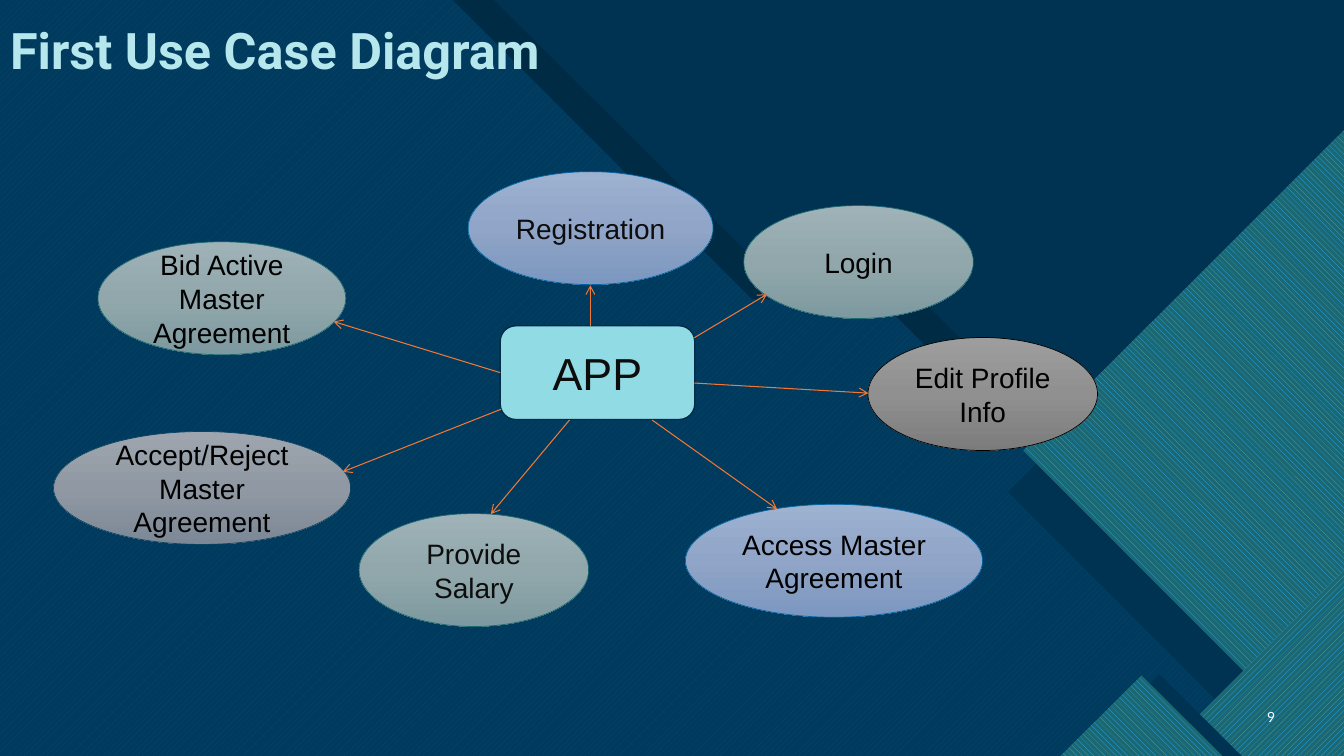
from copy import deepcopy

from pptx import Presentation
from pptx.dml.color import RGBColor
from pptx.enum.dml import MSO_PATTERN_TYPE as Pattern
from pptx.enum.shapes import MSO_CONNECTOR, MSO_SHAPE as Preset
from pptx.enum.text import MSO_ANCHOR as Anchor, PP_ALIGN as Align
from pptx.oxml.ns import qn
from pptx.util import Pt

WIDTH, HEIGHT = 960, 540
NAVY = "003352"
ARROW = "F47735"
TEAL_STRIPES = ("2FAFFF", "1B6872")
USE_CASE_HEIGHT = 80.7

# Outline colour and the gradient from top to bottom
GREEN = ("1A6871", ("9EB2B7", "91A7AB", "7D9AA0"))
BLUE = ("0065A4", ("9DB1D1", "90A5C7", "7C97C0"))
SLATE = ("0C4360", ("9EA5AF", "9099A3", "7C8896"))
GREY = ("000000", ("9D9D9D", "909090", "7C7C7C"))

# Label, left, top, width, palette, text colour, arrow start, arrow end
USE_CASES = [
    ("Bid Active Master Agreement", 70, 172.7, 177, GREEN, "000000", (357, 266), (238.3, 229.7)),
    ("Login", 531.3, 146.8, 164, GREEN, "000000", (496, 241.2), (547.9, 210.2)),
    ("Registration", 334.4, 122.6, 175, BLUE, "0D0D0D", (421.7, 232.6), (421.7, 203.8)),
    ("Access Master Agreement", 489.6, 360.2, 212.3, BLUE, "000000", (465.8, 300), (555.1, 363.6)),
    ("Provide Salary", 256.5, 366.8, 164, GREEN, "0D0D0D", (406.8, 300), (350.6, 367.2)),
    ("Accept/Reject Master Agreement", 38.2, 308.2, 212.3, SLATE, "000000", (358, 292.3), (244.8, 337)),
    ("Edit Profile Info", 620, 241.1, 164, GREY, "000000", (496, 273.6), (620.3, 280.8)),
]


def rgb(value):
    return RGBColor.from_string(value)


class UseCaseSlide:
    """Holds the current slide and the style of its elements."""

    def __init__(self, deck):
        self.slide = deck.slides.add_slide(deck.slide_layouts[5])
        self.shapes = self.slide.shapes
        background = self.slide.background.fill
        background.solid()
        background.fore_color.rgb = rgb(NAVY)

    def label(self, frame, text, size, font, colour, align=Align.CENTER,
              anchor=Anchor.MIDDLE, bold=False):
        frame.text = text
        frame.word_wrap = True
        frame.vertical_anchor = anchor
        paragraph = frame.paragraphs[0]
        paragraph.alignment = align
        style = paragraph.runs[0].font
        style.size, style.name, style.bold = Pt(size), font, bold
        style.color.rgb = rgb(colour)
        return paragraph

    def panel(self, points, colour, opacity=100):
        """Draw a filled outline without a border."""
        corners = [(Pt(x), Pt(y)) for x, y in points]
        builder = self.shapes.build_freeform(*corners[0], scale=1.0)
        builder.add_line_segments(corners[1:], close=True)
        outline = builder.convert_to_shape()
        outline.shadow.inherit = False
        outline.line.fill.background()
        outline.fill.solid()
        outline.fill.fore_color.rgb = rgb(colour)
        if opacity < 100:
            tint = outline.element.spPr.find(".//" + qn("a:srgbClr"))
            alpha = tint.makeelement(qn("a:alpha"), {"val": str(opacity * 1000)})
            tint.append(alpha)
        return outline

    def striped_panel(self, points, pattern, colours):
        fill = self.panel(points, colours[0]).fill
        fill.patterned()
        fill.pattern = pattern
        fill.fore_color.rgb, fill.back_color.rgb = map(rgb, colours)

    def title(self, text):
        heading = self.shapes.title
        heading.left, heading.top = Pt(0), Pt(0.7)
        heading.width, heading.height = Pt(WIDTH), Pt(60)
        line = self.label(heading.text_frame, text, 36, "Roboto", "B5E7ED",
                          Align.LEFT, Anchor.BOTTOM, bold=True)
        line.line_spacing = 0.9
        # Bring the heading in front of the panels
        heading.element.getparent().append(heading.element)

    def page_number(self, text):
        box = self.shapes.add_textbox(Pt(886.3), Pt(497.5), Pt(31.7), Pt(28.8))
        self.label(box.text_frame, text, 10, "Lato", "FFFFFF", Align.RIGHT)

    def node(self, preset, bounds, outline, weight):
        shape = self.shapes.add_shape(preset, *map(Pt, bounds))
        shape.shadow.inherit = False
        shape.line.color.rgb = rgb(outline)
        shape.line.width = Pt(weight)
        return shape

    def system(self, text, bounds):
        box = self.node(Preset.ROUNDED_RECTANGLE, bounds, "002C48", 1)
        box.fill.solid()
        box.fill.fore_color.rgb = rgb("91DBE5")
        self.label(box.text_frame, text, 32, "Arial", "0D0D0D")
        return box

    def use_case(self, text, bounds, palette, text_colour):
        outline, gradient = palette
        bubble = self.node(Preset.OVAL, bounds, outline, 0.5)
        bubble.fill.gradient()
        bubble.fill.gradient_angle = 270
        stops = bubble.element.spPr.find(".//" + qn("a:gsLst"))
        stops.insert(1, deepcopy(stops[0]))
        for stop, position, colour in zip(bubble.fill.gradient_stops, (0, 0.5, 1), gradient):
            stop.position = position
            stop.color.rgb = rgb(colour)
        self.label(bubble.text_frame, text, 20, "Arial", text_colour)

    def arrow(self, start, end):
        link = self.shapes.add_connector(MSO_CONNECTOR.STRAIGHT, *map(Pt, start + end))
        link.line.color.rgb = rgb(ARROW)
        link.line.width = Pt(0.75)
        properties = link.element.spPr
        stroke = properties.find(qn("a:ln"))
        stroke.append(stroke.makeelement(qn("a:tailEnd"), {"type": "arrow"}))
        properties.append(properties.makeelement(qn("a:effectLst"), {}))
        return link


def draw_backdrop(page):
    page.panel([(30, 0), (352.8, 0), (567.4, 213.8), (658, 213.8), (WIDTH, 516),
                (WIDTH, HEIGHT), (30, HEIGHT)], "000000")
    page.striped_panel([(0, 0), (323.3, 0), (537.1, 213.8), (627.8, 213.8),
                        (954, HEIGHT), (0, HEIGHT)],
                       Pattern.WIDE_UPWARD_DIAGONAL, ("47C3D3", "0065A4"))
    page.panel([(0, 0), (500.4, 0), (714.2, 213.8), (805, 213.8), (WIDTH, 369),
                (WIDTH, HEIGHT), (0, HEIGHT)], NAVY, opacity=85)

    # Each striped corner lies on its own navy shadow
    corners = [
        ([(WIDTH, 111.6), (WIDTH, 509.8), (878.4, 509.8), (720, 351.4)],
         [(WIDTH, 92.9), (WIDTH, 530.6), (939.6, 530.6), (730.8, 321.8)],
         Pattern.WIDE_DOWNWARD_DIAGONAL),
        ([(WIDTH, 442), (WIDTH, HEIGHT), (862, HEIGHT)],
         [(WIDTH, 407.5), (WIDTH, HEIGHT), (827.5, HEIGHT)],
         Pattern.WIDE_UPWARD_DIAGONAL),
        ([(887, HEIGHT), (828.3, 481.7), (770, HEIGHT)],
         [(757.4, HEIGHT), (815.4, 482.4), (873.4, HEIGHT)],
         Pattern.WIDE_DOWNWARD_DIAGONAL),
    ]
    for shadow, stripes, pattern in corners:
        page.panel(shadow, NAVY)
        page.striped_panel(stripes, pattern, TEAL_STRIPES)


def main():
    deck = Presentation()
    deck.slide_width, deck.slide_height = Pt(WIDTH), Pt(HEIGHT)
    page = UseCaseSlide(deck)
    draw_backdrop(page)
    page.title("First Use Case Diagram")
    page.page_number("9")
    app = page.system("APP", (357.3, 232.7, 139, 67))
    for name, left, top, width, palette, text_colour, _, _ in USE_CASES:
        page.use_case(name, (left, top, width, USE_CASE_HEIGHT), palette, text_colour)
    links = [page.arrow(start, end) for *_, start, end in USE_CASES]
    bid_link = links[0]
    bid_link.begin_connect(app, 1)
    deck.save("out.pptx")


if __name__ == "__main__":
    main()
